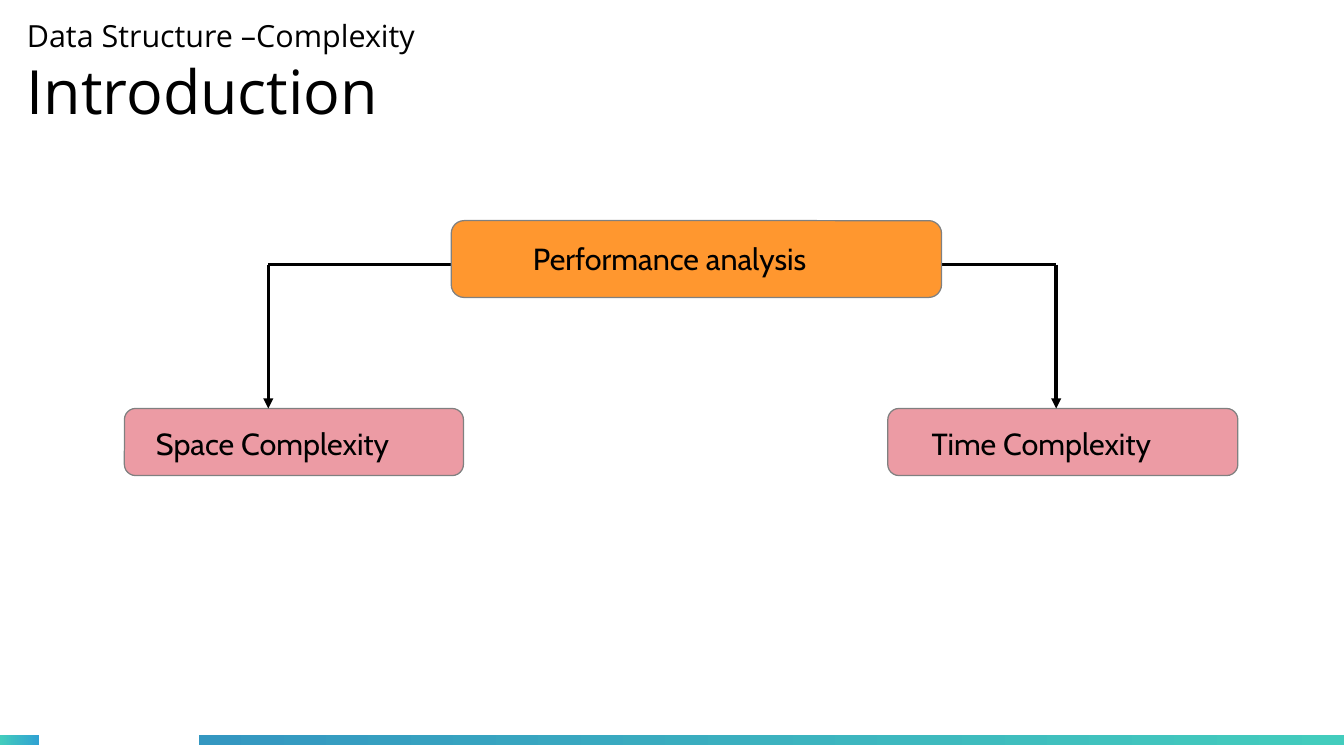
from pptx import Presentation
from pptx.dml.color import RGBColor
from pptx.enum import shapes, text
from pptx.oxml import ns, xmlchemy
from pptx.util import Inches, Pt

COLORS = {
    "text": "000000", "border": "808080", "root": "FF972F", "leaf": "EC9BA4",
    "teal": "43CCBD", "sky": "30A2D2", "blue": "3497C1",
}


def rgb(name):
    return RGBColor.from_string(COLORS[name])


def write(p, words, font, size):
    p.text = words
    for r in p.runs:
        r.font.name = font
        r.font.size = Pt(size)
        r.font.color.rgb = rgb("text")


def add_strip(s, left, top, width, height, colors):
    """Footer strip with a gradient running from left to right."""
    sp = s.shapes.add_shape(shapes.MSO_SHAPE.RECTANGLE, Inches(left), Inches(top),
                            Inches(width), Inches(height))
    sp.shadow.inherit = False
    sp.line.fill.background()
    sp.fill.gradient()
    sp.fill.gradient_angle = 0
    for stop, color in zip(sp.fill.gradient_stops, colors):
        stop.color.rgb = rgb(color)


def add_title(s, left, top, width, height):
    tf = s.shapes.add_textbox(Inches(left), Inches(top), Inches(width), Inches(height)).text_frame
    tf.word_wrap = True
    tf.vertical_anchor = text.MSO_ANCHOR.MIDDLE
    tf.margin_left = tf.margin_right = tf.margin_top = tf.margin_bottom = 0
    write(tf.paragraphs[0], "Data Structure –Complexity", "Open Sans", 18)
    write(tf.add_paragraph(), "Introduction", "Open Sans", 36)


def add_node(s, box, color, words, indent, drop):
    """Rounded box with a label set in from its top left corner."""
    left, top, width, height = box
    sp = s.shapes.add_shape(shapes.MSO_SHAPE.ROUNDED_RECTANGLE, Inches(left), Inches(top),
                            Inches(width), Inches(height))
    sp.shadow.inherit = False
    sp.fill.solid()
    sp.fill.fore_color.rgb = rgb(color)
    sp.line.color.rgb = rgb("border")
    sp.line.width = Pt(0)
    label = s.shapes.add_textbox(Inches(left + indent), Inches(top + drop),
                                 Inches(width - indent), Inches(0.44))
    label.text_frame.word_wrap = True
    write(label.text_frame.paragraphs[0], words, "Cabin", 18)


def add_line(s, start, end, arrow=False):
    line = s.shapes.add_connector(shapes.MSO_CONNECTOR.STRAIGHT,
                                  *(Inches(v) for v in start + end))
    line.line.color.rgb = rgb("text")
    line.line.width = Pt(0)
    if arrow:
        tail = xmlchemy.OxmlElement("a:tailEnd")
        tail.set("type", "triangle")
        line.line._get_or_add_ln().append(tail)
    line._element.find(ns.qn("p:spPr")).append(xmlchemy.OxmlElement("a:effectLst"))


def add_tree(s, root, leaves):
    left, top, width, height = root
    branch_y = top + 0.36
    for box, words, indent, start_x, arrow_x in leaves:
        add_node(s, box, "leaf", words, indent, 0.09)
        # Elbow from the root down to the leaf
        add_line(s, (start_x, branch_y), (arrow_x, branch_y))
        add_line(s, (arrow_x, branch_y), (arrow_x, box[1]), arrow=True)
    add_node(s, root, "root", "Performance analysis", 0.57, 0.11)


def main():
    prs = Presentation()
    prs.slide_width, prs.slide_height = Inches(11.02), Inches(6.2)
    s = prs.slides.add_slide(prs.slide_layouts[6])

    # Footer
    add_strip(s, 0, 6.03, 0.32, 0.08, ("teal", "sky"))
    add_strip(s, 1.63, 6.03, 9.39, 0.08, ("blue", "teal"))

    # Heading
    add_title(s, 0.22, 0.08, 7.68, 1.02)

    # Kinds of performance analysis
    add_tree(s, (3.7, 1.81, 4.02, 0.63), [
        ((1.02, 3.35, 2.78, 0.55), "Space Complexity", 0.16, 4.25, 2.2),
        ((7.28, 3.35, 2.87, 0.55), "Time Complexity", 0.26, 6.69, 8.66),
    ])
    prs.save("out.pptx")


if __name__ == "__main__":
    main()
